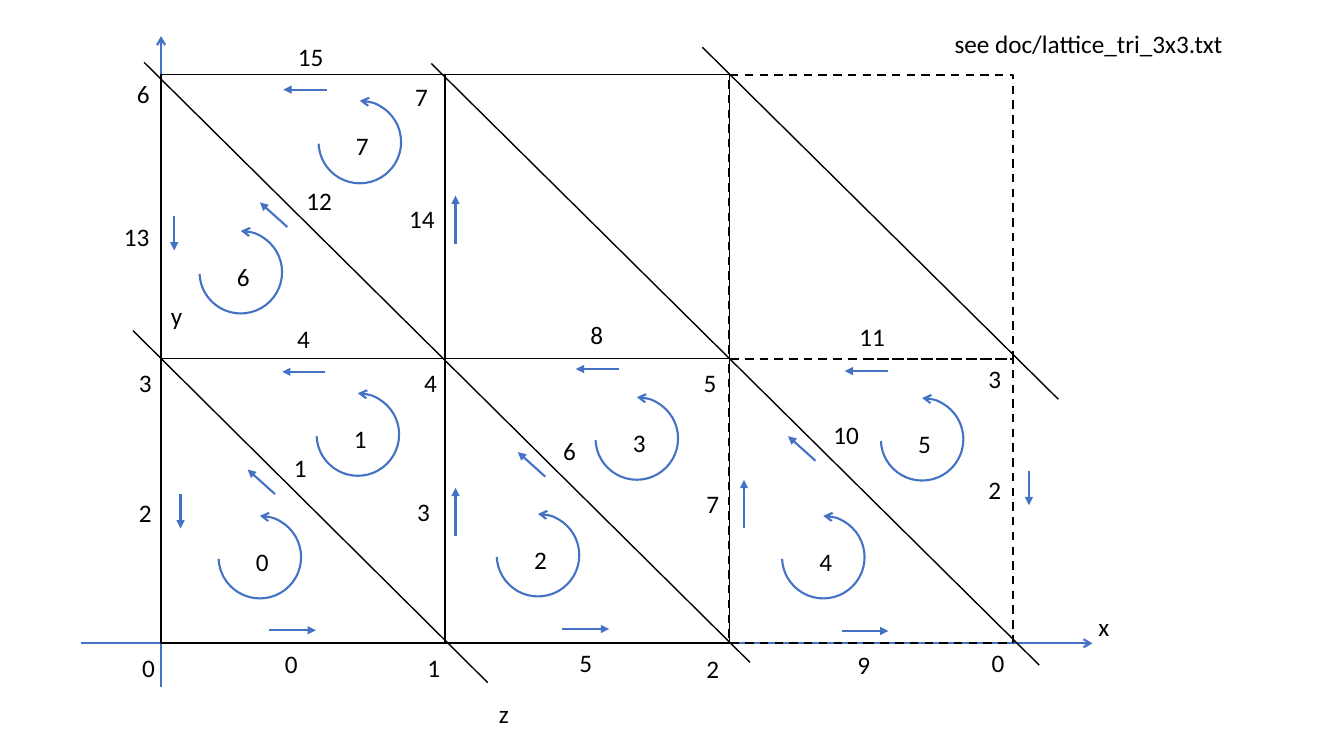
from pptx import Presentation
from pptx import util as u
from pptx.dml import color
from pptx.enum import dml, shapes, text
from pptx.oxml import ns, xmlchemy

Cm = u.Cm
BLACK, BLUE = "000000", "4472C4"
SIDE, LEFT, TOP = 7.16, 4.06, 1.88
ARC = 2.08
SMALL, WIDE, BIG = (0.69, 0.84), (1.17, 1.02), (0.84, 1.02)

WAYS = {
    "right": (1.18, 0),
    "left": (-1.09, 0),
    "up": (0, -1.22),
    "down": (0, 0.87),
    "slant": (-0.69, -0.62),
}

# number, label x and y, arrow start x and y, arrow direction
EDGES = [
    ("0", 6.93, 16.21, 6.78, 15.88, "right"),
    ("1", 7.16, 11.28, 6.93, 12.45, "slant"),
    ("2", 3.25, 12.4, 4.55, 12.45, "down"),
    ("3", 10.26, 12.37, 11.48, 13.51, "up"),
    ("4", 7.24, 8.03, 8.2, 9.37, "left"),
    ("5", 14.35, 16.18, 14.17, 15.85, "right"),
    ("6", 13.94, 10.85, 13.74, 12.01, "slant"),
    ("7", 17.55, 12.17, 18.75, 13.31, "up"),
    ("8", 14.63, 7.92, 15.6, 9.3, "left"),
    ("9", 21.36, 16.23, 21.21, 15.9, "right"),
    ("10", 20.75, 10.44, 20.55, 11.61, "slant"),
    ("11", 21.41, 7.98, 22.38, 9.35, "left"),
    ("12", 7.47, 4.55, 7.24, 5.72, "slant"),
    ("13", 2.87, 5.46, 4.39, 5.44, "down"),
    ("2", 24.66, 11.84, 25.93, 11.86, "down"),
    ("14", 10.06, 5, 11.48, 6.15, "up"),
    ("15", 7.26, 0.91, 8.23, 2.26, "left"),
]

# top left corner of each turning arc, in order of face number
FACES = [
    (5.51, 13), (7.98, 9.91), (12.52, 12.95), (15.01, 10.01),
    (19.71, 13), (22.2, 10.03), (5.03, 5.82), (8.03, 2.54),
]

NODES = [
    ("0", 3.33, 16.31), ("1", 10.52, 16.31), ("2", 17.55, 16.33),
    ("0", 24.74, 16.18), ("3", 3.25, 9.14), ("4", 10.44, 9.14),
    ("5", 17.48, 9.14), ("3", 24.66, 9.02),
    ("x", 27.43, 15.27), ("y", 4.06, 7.44), ("z", 12.32, 17.48),
]
TOPS = [("6", 3.2, 1.85), ("7", 10.21, 1.93)]

SLANTS = [
    (12.29, 17.2, 3.35, 8.33),
    (18.9, 16.69, 3.63, 1.57),
    (26.19, 16.76, 10.87, 1.6),
    (26.67, 10.06, 17.7, 1.19),
]
AXES = [(27.53, 16.21, 2.03, 16.21), (4.06, 0.91, 4.06, 17.32)]


def rgb(code):
    return color.RGBColor.from_string(code)


def put(item, values):
    """Set each named attribute of item."""
    for name, value in values.items():
        setattr(item, name, value)


def stroke(shape, code, width, end=None, kind=None):
    """Style an outline; end is headEnd or tailEnd, kind the arrowhead."""
    shape.line.color.rgb = rgb(code)
    shape.line.width = u.Pt(width)
    if end:
        tip = xmlchemy.OxmlElement("a:" + end)
        tip.set("type", kind)
        shape.element.spPr.find(ns.qn("a:ln")).append(tip)


def link(slide, ends, code, width, end=None, kind=None):
    line = slide.shapes.add_connector(
        shapes.MSO_CONNECTOR.STRAIGHT, *[Cm(v) for v in ends])
    stroke(line, code, width, end, kind)
    line.element.spPr.append(xmlchemy.OxmlElement("a:effectLst"))


def plain(slide, kind, x, y, size):
    """Add a square preset shape with neither fill nor shadow."""
    shape = slide.shapes.add_shape(kind, Cm(x), Cm(y), Cm(size), Cm(size))
    shape.fill.background()
    shape.shadow.inherit = False
    return shape


def cell(slide, col, row):
    box = plain(slide, shapes.MSO_SHAPE.RECTANGLE,
                LEFT + col * SIDE, TOP + row * SIDE, SIDE)
    last = col == 2
    stroke(box, BLACK, 1.5 if last else 1)
    if last:
        box.line.dash_style = dml.MSO_LINE.DASH


def label(slide, words, x, y, size, align=text.PP_ALIGN.LEFT):
    box = slide.shapes.add_textbox(Cm(x), Cm(y), *[Cm(v) for v in size])
    frame = box.text_frame
    put(frame, {"word_wrap": False,
                "auto_size": text.MSO_AUTO_SIZE.SHAPE_TO_FIT_TEXT})
    para = frame.paragraphs[0]
    para.alignment = align
    run = para.add_run()
    run.text = words
    put(run.font, {"name": "Calibri", "size": u.Pt(18)})
    run.font.color.rgb = rgb(BLACK)


def face(slide, num, x, y):
    arc = plain(slide, shapes.MSO_SHAPE.ARC, x, y, ARC)
    arc.adjustments[0] = 162
    arc.adjustments[1] = 106.58
    stroke(arc, BLUE, 1.5, "headEnd", "arrow")
    label(slide, str(num), x + 0.69, y + 0.63, SMALL if num < 4 else BIG)


def edge(slide, num, x, y, ax, ay, way):
    dx, dy = WAYS[way]
    label(slide, num, x, y, BIG if len(num) == 1 else WIDE)
    link(slide, (ax, ay, ax + dx, ay + dy), BLUE, 1.5, "tailEnd", "triangle")


def main():
    deck = Presentation()
    put(deck, {"slide_width": Cm(33.87), "slide_height": Cm(19.05)})
    slide = deck.slides.add_slide(deck.slide_layouts[6])
    for ends in AXES:
        link(slide, ends, BLUE, 1.5, "headEnd", "arrow")
    for row in (1, 0):
        for col in range(3):
            cell(slide, col, row)
    for ends in SLANTS:
        link(slide, ends, BLACK, 1)
    for num, spot in enumerate(FACES):
        face(slide, num, *spot)
    for node in NODES:
        label(slide, *node, SMALL)
    for node in TOPS:
        label(slide, *node, BIG)
    for item in EDGES:
        edge(slide, *item)
    label(slide, "see doc/lattice_tri_3x3.txt", 23.75, 0.58, (7.37, 1.02),
          text.PP_ALIGN.CENTER)
    deck.save("out.pptx")


if __name__ == "__main__":
    main()
